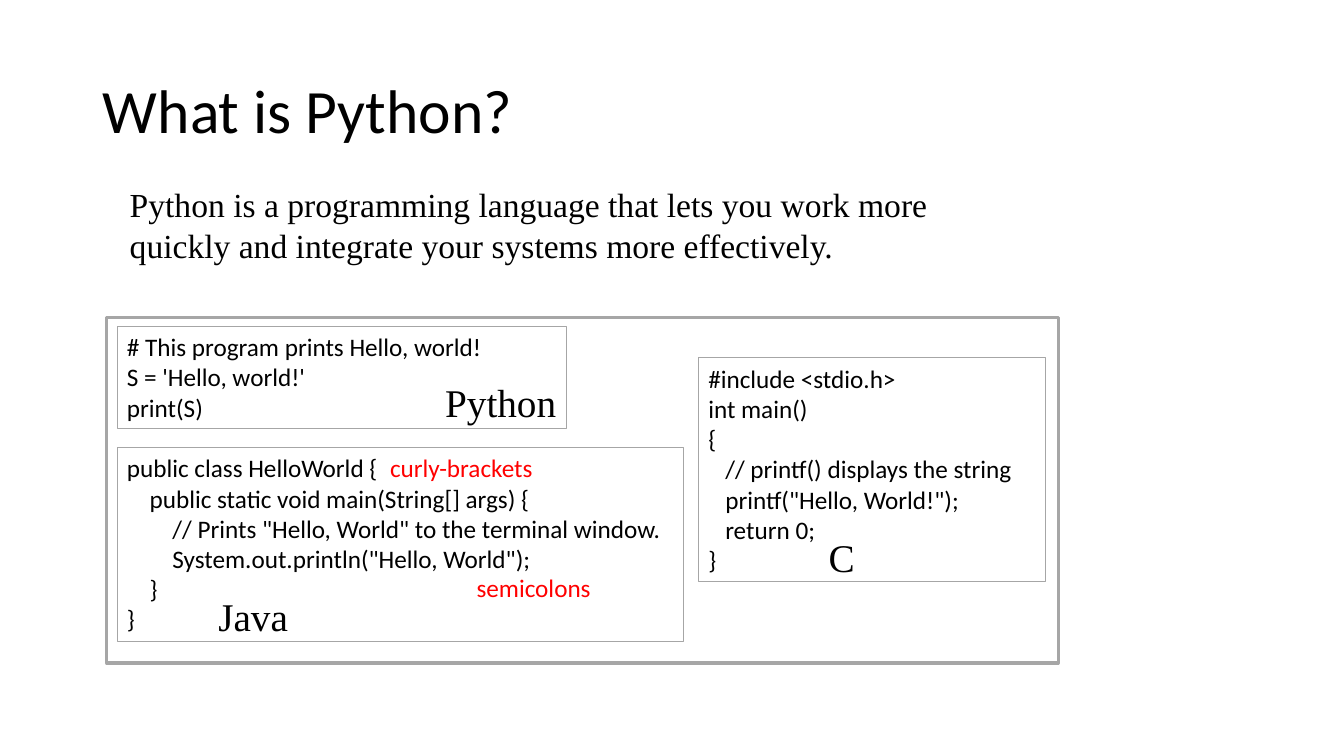
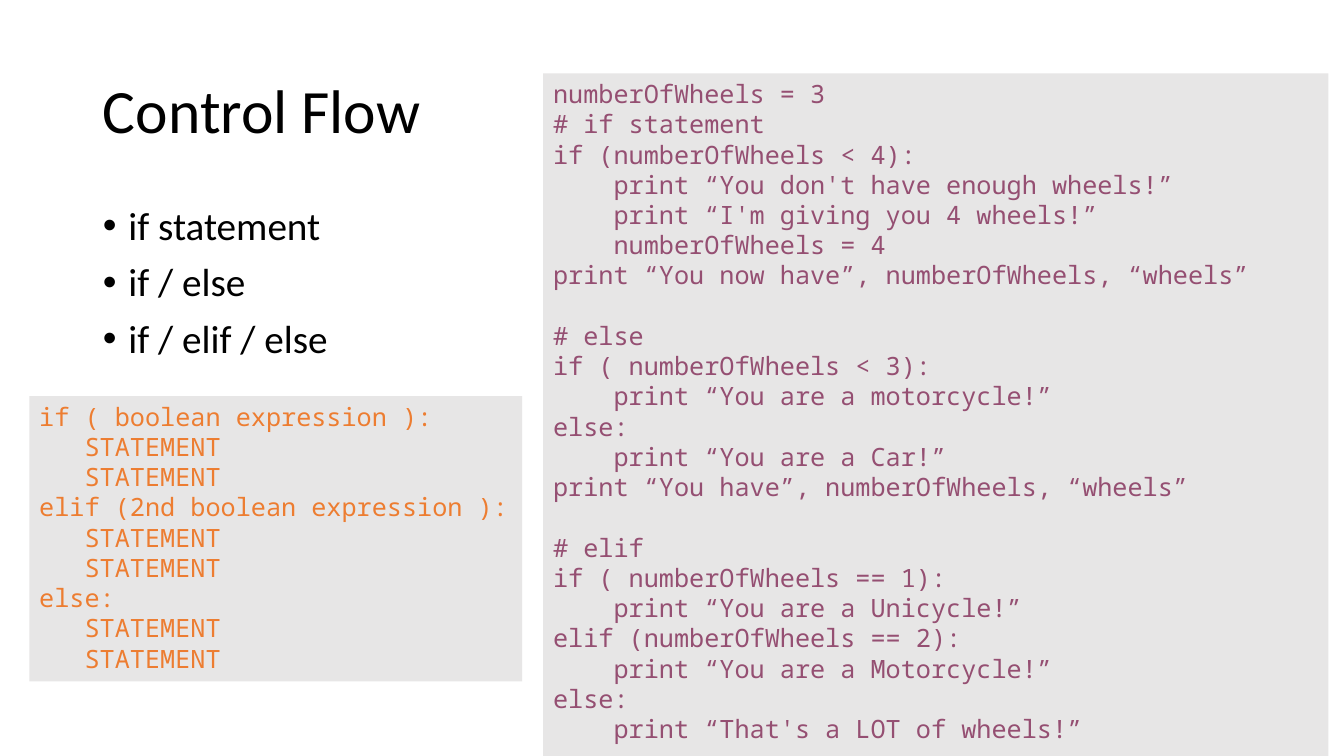
"""Build two slides that introduce Python and its control flow."""
from lxml.etree import SubElement
from pptx import Presentation
from pptx.dml.color import RGBColor
from pptx.enum.shapes import MSO_SHAPE
from pptx.enum.text import MSO_ANCHOR, PP_ALIGN
from pptx.oxml.ns import qn
from pptx.util import Cm, Pt

BLACK, RED, GRAY = "000000", "FF0000", "A6A6A6"
PANEL, PURPLE, ORANGE = "E7E6E6", "954F72", "ED7D31"
SANS, SERIF, MONO = "Calibri", "Times New Roman", "Noto Sans Mono"

TITLE_STYLE = {"name": SANS, "size": Pt(44)}
BULLET_STYLE = {"name": SANS, "size": Pt(28)}
INTRO_STYLE = {"name": SERIF, "size": Pt(24)}
LABEL_STYLE = {"name": SERIF, "size": Pt(28)}
SAMPLE_STYLE = {"name": SANS, "size": Pt(18)}
CODE_STYLE = {"name": MONO, "size": Pt(18)}
CODE_GAP = Pt(21.6)

TITLE_BOX = (2.34, 1.02, 29.21, 3.68)
BODY_BOX = (2.34, 5.08, 29.21, 12.09)
INTRO_BOX = (3.02, 4.52, 22.66, 2.31)
FRAME_BOX = (2.69, 8, 23.98, 8.71)

INTRO = ("Python is a programming language that lets you work more quickly "
         "and integrate your systems more effectively.")

SAMPLES = [
    ((2.95, 11.28, 14.27, 4.88), [
        "public class HelloWorld {",
        "    public static void main(String[] args) {",
        "        // Prints \"Hello, World\" to the terminal window.",
        "        System.out.println(\"Hello, World\");",
        "    }",
        "}",
    ]),
    ((2.95, 8.23, 11.33, 2.57), [
        "# This program prints Hello, world!",
        "S = 'Hello, world!'",
        "print(S)",
    ]),
    ((17.6, 9.02, 8.74, 5.64), [
        "#include <stdio.h>",
        "int main()",
        "{",
        "   // printf() displays the string",
        "   printf(\"Hello, World!\");",
        "   return 0;",
        "}",
    ]),
]

LABELS = [
    ("Python", (10.97, 9.4, 4.42, 1.45), PP_ALIGN.LEFT),
    ("C", (19, 13.31, 4.42, 1.45), PP_ALIGN.CENTER),
    ("Java", (4.17, 14.81, 4.42, 1.45), PP_ALIGN.CENTER),
]

REMARKS = [
    ("curly-brackets", (9.58, 11.28, 5.21, 1.02)),
    ("semicolons", (11.76, 14.3, 5.21, 1.02)),
]

BULLETS = ["if statement", "if / else", "if / elif / else"]

CODE_PANELS = [
    ((13.69, 1.85, 19.79, 17.2), PURPLE, [
        ["numberOfWheels = 3",
         "# if statement",
         "if (numberOfWheels < 4):",
         "    print “You don't have enough wheels!”",
         "    print “I'm giving you 4 wheels!”",
         "    numberOfWheels = 4",
         "print “You now have”, numberOfWheels, “wheels”"],
        ["# else",
         "if ( numberOfWheels < 3):",
         "    print “You are a motorcycle!”",
         "else:",
         "    print “You are a Car!”",
         "print “You have”, numberOfWheels, “wheels”"],
        ["# elif",
         "if ( numberOfWheels == 1):",
         "    print “You are a Unicycle!”",
         "elif (numberOfWheels == 2):",
         "    print “You are a Motorcycle!”",
         "else:",
         "    print “That's a LOT of wheels!”"],
    ]),
    ((0.74, 9.98, 12.42, 7.19), ORANGE, [
        ["if ( boolean expression ):",
         "   STATEMENT",
         "   STATEMENT",
         "elif (2nd boolean expression ):",
         "   STATEMENT",
         "   STATEMENT",
         "else:",
         "   STATEMENT",
         "   STATEMENT"],
    ]),
]


def color(value):
    """Turn a hex string into a colour."""
    return RGBColor.from_string(value)


def lengths(box):
    """Turn left, top, width and height in centimetres into lengths."""
    return [Cm(value) for value in box]


def place(shape, box):
    """Move and size a shape."""
    for name, value in zip(("left", "top", "width", "height"), lengths(box)):
        setattr(shape, name, value)


def write_lines(shape, lines, style, font_color=BLACK, align=PP_ALIGN.LEFT,
                anchor=MSO_ANCHOR.TOP):
    """Write one paragraph per line and return the paragraphs."""
    frame = shape.text_frame
    frame.word_wrap = True
    frame.vertical_anchor = anchor
    paragraphs = []
    for index, line in enumerate(lines):
        paragraph = frame.add_paragraph() if index else frame.paragraphs[0]
        paragraph.alignment = align
        run = paragraph.add_run()
        run.text = line
        for name, value in style.items():
            setattr(run.font, name, value)
        run.font.color.rgb = color(font_color)
        paragraphs.append(paragraph)
    return paragraphs


def add_rectangle(slide, box, fill=None, line=None, line_width=0.75):
    """Add a rectangle with an optional fill and outline."""
    shape = slide.shapes.add_shape(MSO_SHAPE.RECTANGLE, *lengths(box))
    shape.shadow.inherit = False
    for part, value in ((shape.fill, fill), (shape.line.fill, line)):
        if value:
            part.solid()
            part.fore_color.rgb = color(value)
        else:
            part.background()
    if line:
        shape.line.width = Pt(line_width)
    return shape


def add_text(slide, text, box, style, **options):
    """Add a text box with one paragraph."""
    write_lines(slide.shapes.add_textbox(*lengths(box)), [text], style, **options)


def add_titled_slide(presentation, layout_index, title):
    """Add a slide with the shared title style."""
    slide = presentation.slides.add_slide(presentation.slide_layouts[layout_index])
    place(slide.shapes.title, TITLE_BOX)
    paragraph, = write_lines(slide.shapes.title, [title], TITLE_STYLE,
                             anchor=MSO_ANCHOR.MIDDLE)
    paragraph.line_spacing = 0.9
    return slide


def add_bullets(slide, lines):
    """Fill the body placeholder with a bulleted list."""
    body = slide.placeholders[1]
    place(body, BODY_BOX)
    for index, paragraph in enumerate(write_lines(body, lines, BULLET_STYLE)):
        paragraph.line_spacing = 0.9
        paragraph.space_before = Pt(10 if index else 0)
        properties = paragraph._p.get_or_add_pPr()
        properties.set("marL", str(Cm(0.64)))
        properties.set("indent", str(-Cm(0.64)))
        SubElement(properties, qn("a:buFont"), typeface="Arial")
        SubElement(properties, qn("a:buChar"), char="•")


def add_code_panel(slide, box, font_color, blocks):
    """Add a filled panel with a gap before each later block of code."""
    lines = [line for block in blocks for line in block]
    panel = add_rectangle(slide, box, fill=PANEL)
    paragraphs = write_lines(panel, lines, CODE_STYLE, font_color)
    start = 0
    for block in blocks[:-1]:
        start += len(block)
        paragraphs[start].space_before = CODE_GAP


def build_introduction(presentation):
    """Build the slide that compares Python with other languages."""
    slide = add_titled_slide(presentation, 5, "What is Python?")
    add_text(slide, INTRO, INTRO_BOX, INTRO_STYLE)
    add_rectangle(slide, FRAME_BOX, line=GRAY, line_width=2.25)
    for box, lines in SAMPLES:
        write_lines(add_rectangle(slide, box, line=GRAY), lines, SAMPLE_STYLE)
    for text, box, align in LABELS:
        add_text(slide, text, box, LABEL_STYLE, align=align)
    for text, box in REMARKS:
        add_text(slide, text, box, SAMPLE_STYLE, font_color=RED)


def build_control_flow(presentation):
    """Build the slide on conditional statements."""
    slide = add_titled_slide(presentation, 1, "Control Flow")
    add_bullets(slide, BULLETS)
    for box, font_color, blocks in CODE_PANELS:
        add_code_panel(slide, box, font_color, blocks)


def main():
    """Build and save the presentation."""
    presentation = Presentation()
    presentation.slide_width = Cm(33.87)
    presentation.slide_height = Cm(19.05)
    build_introduction(presentation)
    build_control_flow(presentation)
    presentation.save("out.pptx")


if __name__ == "__main__":
    main()
